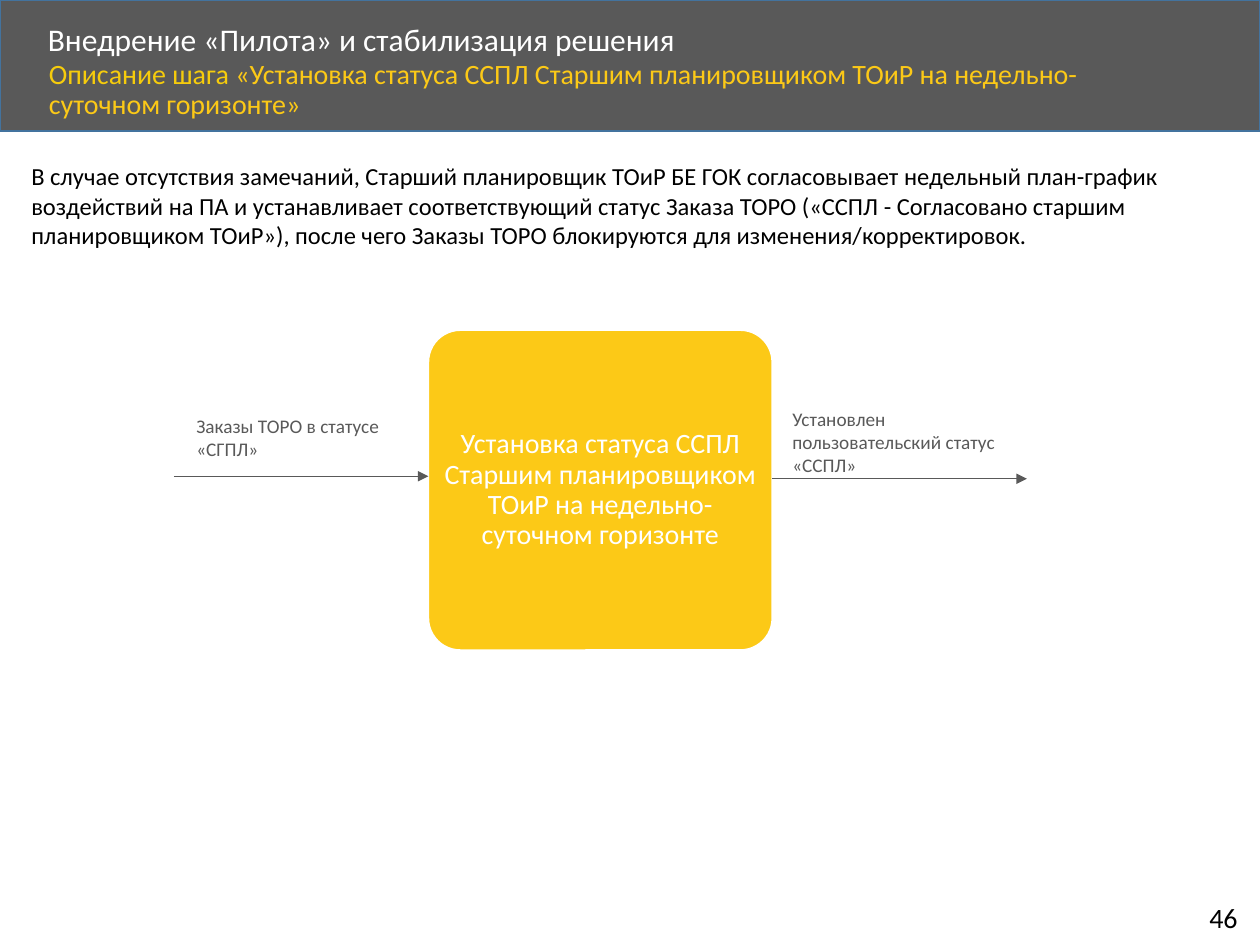
from lxml import etree
from pptx import Presentation
from pptx.dml.color import RGBColor
from pptx.enum.shapes import MSO_CONNECTOR, MSO_SHAPE
from pptx.enum.text import MSO_ANCHOR, PP_ALIGN
from pptx.oxml.ns import qn
from pptx.util import Inches, Pt

RECT, ROUND = MSO_SHAPE.RECTANGLE, MSO_SHAPE.ROUNDED_RECTANGLE
STRAIGHT = MSO_CONNECTOR.STRAIGHT
TOP, MIDDLE = MSO_ANCHOR.TOP, MSO_ANCHOR.MIDDLE
LEFT, CENTER = PP_ALIGN.LEFT, PP_ALIGN.CENTER

COLORS = {"grey": "595959", "edge": "43739E", "gold": "FCC917",
          "amber": "F6CC0C", "white": "FFFFFF", "black": "000000"}

TITLE = "Внедрение «Пилота» и стабилизация решения"
STEP = "Установка статуса ССПЛ Старшим планировщиком ТОиР на недельно-суточном горизонте"
SUBTITLE = [("Описание шага ", "amber"), (f"«{STEP}»", "gold")]
INTRO = ("В случае отсутствия замечаний, Старший планировщик ТОиР БЕ ГОК согласовывает "
         "недельный план-график воздействий на ПА и устанавливает соответствующий статус "
         "Заказа ТОРО («ССПЛ - Cогласовано старшим планировщиком ТОиР»), после чего "
         "Заказы ТОРО блокируются для изменения/корректировок.")
PAGE = "46"

BLOCK = (3.4, 2.62, 2.73, 2.54)
REACH = 2.02
# text, label box, arrow start, arrow height
FLOWS = [
    ("Заказы ТОРО в статусе «СГПЛ»", (1.46, 3.24, 2, 0.47), BLOCK[0] - REACH, 3.78),
    ("Установлен пользовательский статус «ССПЛ»", (6.19, 3.18, 2, 0.66),
     BLOCK[0] + BLOCK[2], 3.8),
]


def color(name):
    return RGBColor.from_string(COLORS[name])


def write(shape, text, size=11, tint="black", align=LEFT, anchor=TOP,
          spacing=1.0, inset=None, wrap=True):
    """Fill a shape with one paragraph; text is a string or (text, tint) pairs."""
    frame = shape.text_frame
    frame.word_wrap = wrap
    frame.vertical_anchor = anchor
    if inset is not None:
        frame.margin_left = frame.margin_right = Inches(inset)
        frame.margin_top = frame.margin_bottom = Inches(inset)
    para = frame.paragraphs[0]
    para.alignment, para.line_spacing = align, spacing
    for part, hue in [(text, tint)] if isinstance(text, str) else text:
        run = para.add_run()
        run.text = part
        run.font.name, run.font.size = "Calibri", Pt(size)
        run.font.color.rgb = color(hue)


def add_label(slide, box, text, **style):
    write(slide.shapes.add_textbox(*map(Inches, box)), text, **style)


def add_block(slide, kind, box, fill, line):
    shape = slide.shapes.add_shape(kind, *map(Inches, box))
    shape.shadow.inherit = False
    shape.fill.solid()
    shape.fill.fore_color.rgb = color(fill)
    shape.line.color.rgb = color(line)
    shape.line.width = Pt(1)
    return shape


def add_arrow(slide, left, top):
    arrow = slide.shapes.add_connector(
        STRAIGHT, *map(Inches, (left, top, left + REACH, top)))
    arrow.line.color.rgb = color("grey")
    arrow.line.width = Pt(0.5)
    etree.SubElement(arrow.line._get_or_add_ln(), qn("a:tailEnd"), type="triangle")
    etree.SubElement(arrow._element.spPr, qn("a:effectLst"))


def main():
    deck = Presentation()
    deck.slide_width, deck.slide_height = Inches(10), Inches(7.5)
    slide = deck.slides.add_slide(deck.slide_layouts[5])

    band = add_block(slide, RECT, (0, 0, 10, 1.04), "grey", "edge")
    title = slide.shapes.title
    title._element.addprevious(band._element)  # the band lies behind the title
    title.left, title.top, title.width, title.height = map(Inches, (0.28, 0.14, 8.07, 0.38))
    write(title, TITLE, size=18, tint="white", anchor=MIDDLE, spacing=0.9)
    add_label(slide, (0.29, 0.43, 8.67, 0.45), SUBTITLE, size=16, spacing=0.9)
    add_label(slide, (0.15, 1.23, 9.46, 0.81), INTRO, size=14)

    step = add_block(slide, ROUND, BLOCK, "gold", "white")
    step.adjustments[0] = 0.1
    write(step, STEP, size=16, tint="white", align=CENTER, anchor=MIDDLE,
          spacing=0.9, inset=0.01)
    for text, box, left, top in FLOWS:
        add_arrow(slide, left, top)
        add_label(slide, box, text, tint="grey")
    add_label(slide, (9.5, 7.1, 0.46, 0.37), PAGE, size=16, wrap=False)

    deck.save("out.pptx")


if __name__ == "__main__":
    main()
